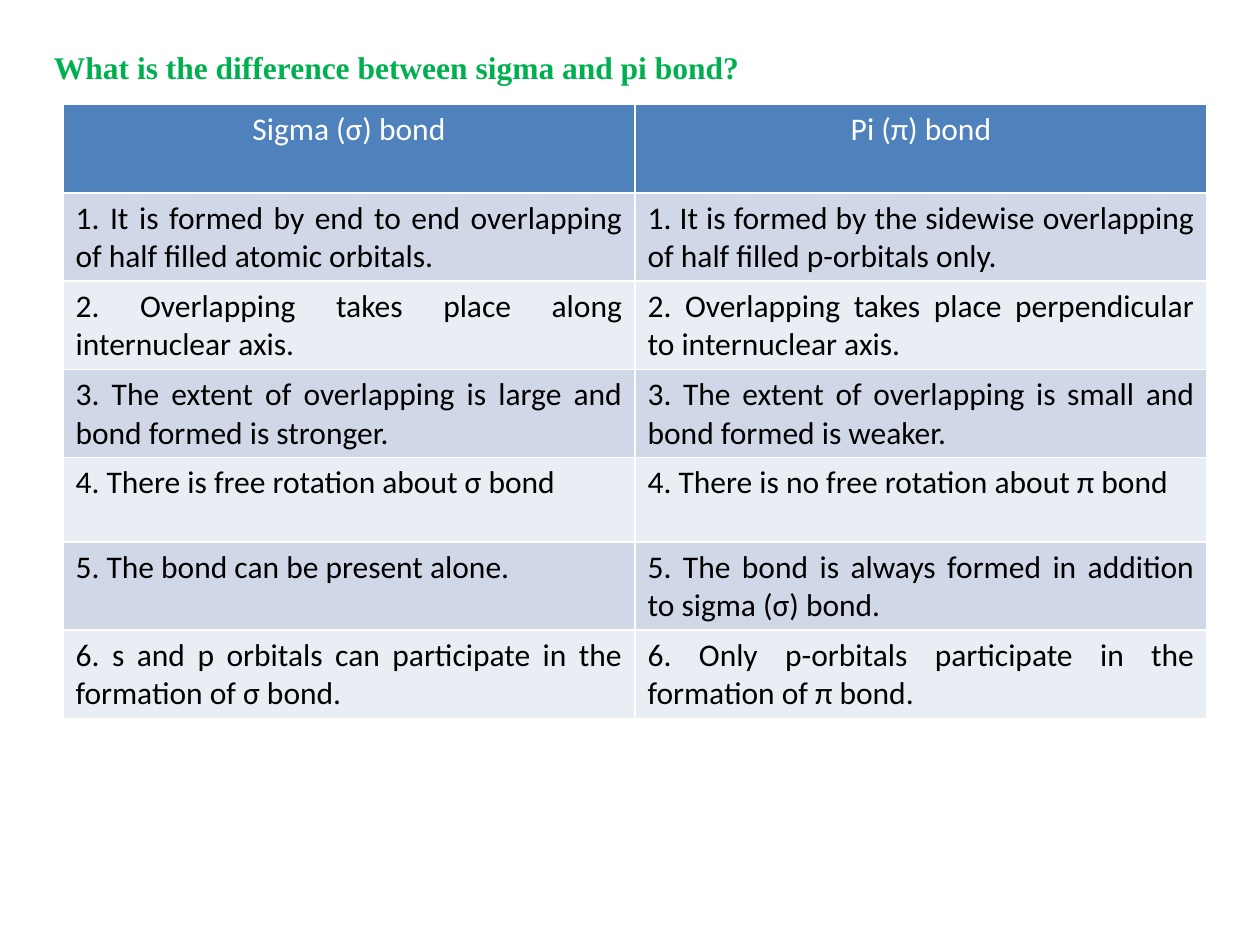
from pptx import Presentation
from pptx import util as u
from pptx.dml.color import RGBColor
from pptx.enum import text

HEADER_FILL, BAND_FILLS = "4F81BD", ("D0D8E8", "E9EDF4")
ROWS = [
    ("Sigma (σ) bond", "Pi (π) bond"),
    ("1. It is formed by end to end overlapping of half filled atomic orbitals.",
     "1. It is formed by the sidewise overlapping of half filled p-orbitals only."),
    ("2. Overlapping takes place along internuclear axis.",
     "2. Overlapping takes place perpendicular to internuclear axis."),
    ("3. The extent of overlapping is large and bond formed is stronger.",
     "3. The extent of overlapping is small and bond formed is weaker."),
    ("4. There is free rotation about σ bond",
     "4. There is no free rotation about π bond"),
    ("5. The bond can be present alone.",
     "5. The bond is always formed in addition to sigma (σ) bond."),
    ("6. s and p orbitals can participate in the formation of σ bond.",
     "6. Only p-orbitals participate in the formation of π bond."),
]
ROW_HEIGHT, SINGLE_LINE_HEIGHT, SINGLE_LINE_ROW = 0.7, 0.67, 4


def rgb(color):
    return RGBColor.from_string(color)


def write(frame, words, font, color, bold=False, align=text.PP_ALIGN.JUSTIFY):
    frame.text = words
    paragraph = frame.paragraphs[0]
    paragraph.alignment = align
    style = paragraph.runs[0].font
    style.name, style.size, style.bold = font, u.Pt(18), bold
    style.color.rgb = rgb(color)


def add_title(slide, left, top, width, height):
    frame = slide.shapes.add_textbox(*map(u.Inches, (left, top, width, height))).text_frame
    frame.word_wrap = True
    frame.auto_size = text.MSO_AUTO_SIZE.SHAPE_TO_FIT_TEXT
    write(frame, "What is the difference between sigma and pi bond?",
          "Times New Roman", "00B050", bold=True)


def add_comparison(slide, left, top, width):
    """Add the table; its default style supplies the white cell borders."""
    heights = [SINGLE_LINE_HEIGHT if index == SINGLE_LINE_ROW else ROW_HEIGHT
               for index in range(len(ROWS))]
    box = map(u.Inches, (left, top, width, sum(heights)))
    table = slide.shapes.add_table(len(ROWS), len(ROWS[0]), *box).table
    for row_index, (words_in_row, height) in enumerate(zip(ROWS, heights)):
        table.rows[row_index].height = u.Inches(height)
        is_header = row_index == 0
        fill = HEADER_FILL if is_header else BAND_FILLS[(row_index - 1) % 2]
        color = "FFFFFF" if is_header else "000000"
        align = text.PP_ALIGN.CENTER if is_header else text.PP_ALIGN.JUSTIFY
        for column_index, words in enumerate(words_in_row):
            cell = table.cell(row_index, column_index)
            cell.fill.solid()
            cell.fill.fore_color.rgb = rgb(fill)
            write(cell.text_frame, words, "Calibri", color, align=align)


def main():
    presentation = Presentation()
    presentation.slide_width, presentation.slide_height = u.Inches(10), u.Inches(7.5)
    slide = presentation.slides.add_slide(presentation.slide_layouts[6])
    add_title(slide, 0.33, 0.33, 9.25, 0.4)
    add_comparison(slide, 0.5, 0.83, 9.08)
    presentation.save("out.pptx")


if __name__ == "__main__":
    main()
